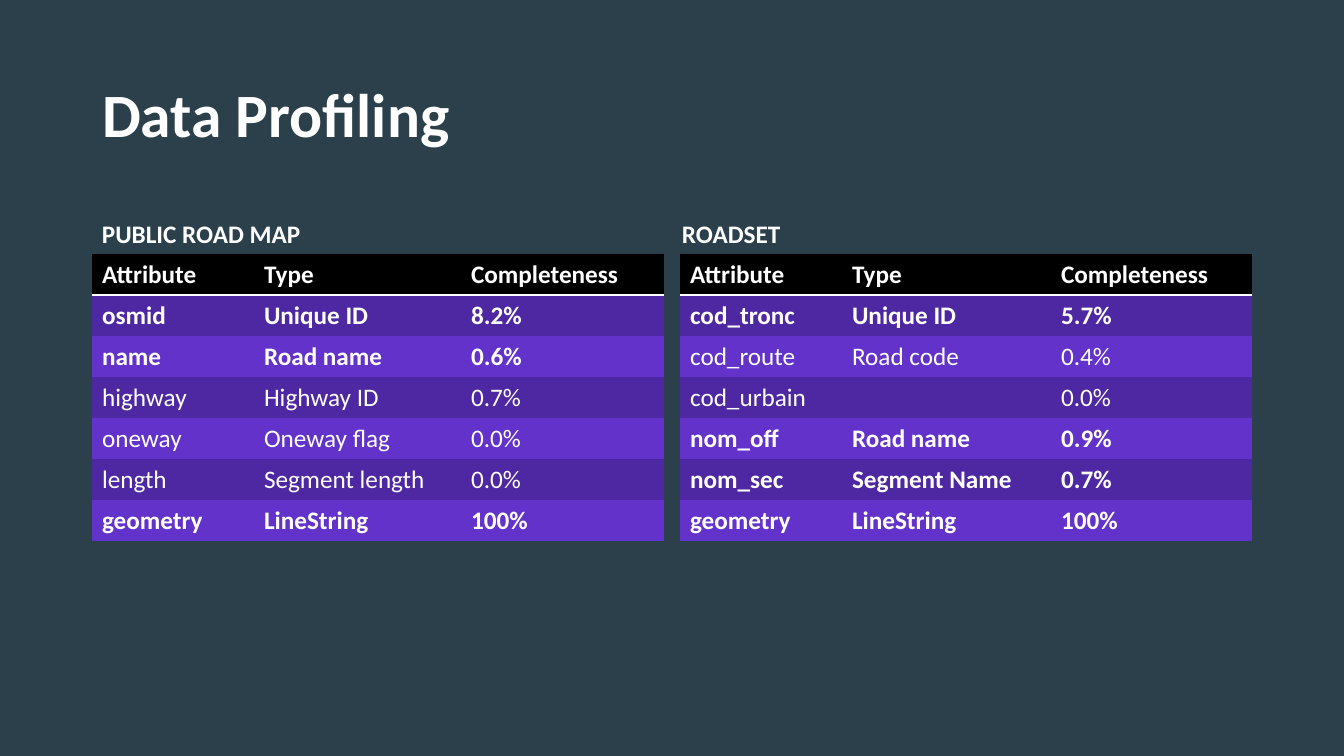
from lxml.etree import fromstring
from pptx import Presentation
from pptx.dml.color import RGBColor
from pptx.enum.text import MSO_ANCHOR, PP_ALIGN
from pptx.oxml.ns import qn
from pptx.util import Pt

# Content: bold rows are marked True
TITLE = "Data Profiling"
HEAD = ("Attribute", "Type", "Completeness")
TABLES = [
    {"name": "PUBLIC ROAD MAP", "label": (92, 257), "left": 92,
     "cols": (162, 207, 203),
     "rows": [
         (True, "osmid", "Unique ID", "8.2%"),
         (True, "name", "Road name", "0.6%"),
         (False, "highway", "Highway ID", "0.7%"),
         (False, "oneway", "Oneway flag", "0.0%"),
         (False, "length", "Segment length", "0.0%"),
         (True, "geometry", "LineString", "100%")]},
    {"name": "ROADSET", "label": (672, 151), "left": 680,
     "cols": (162, 209, 201),
     "rows": [
         (True, "cod_tronc", "Unique ID", "5.7%"),
         (False, "cod_route", "Road code", "0.4%"),
         (False, "cod_urbain", "", "0.0%"),
         (True, "nom_off", "Road name", "0.9%"),
         (True, "nom_sec", "Segment Name", "0.7%"),
         (True, "geometry", "LineString", "100%")]},
]

FONT = "Calibri"
SLATE = RGBColor(0x2B, 0x40, 0x4B)
WHITE = RGBColor(0xFF, 0xFF, 0xFF)
BLACK = RGBColor(0, 0, 0)
BANDS = (RGBColor(0x4E, 0x28, 0xA2), RGBColor(0x62, 0x32, 0xCA))
TOP, ROW = 254, 41
PLAIN = "{2D5ABB26-0587-4C30-8999-92F81FD0307C}"  # table style without grid
RULE = ('<a:lnB xmlns:a="http://schemas.openxmlformats.org/drawingml/2006/main"'
        ' w="25400"><a:solidFill><a:srgbClr val="FFFFFF"/></a:solidFill></a:lnB>')


def px(n):
    return round(n * 914400 / 100.8)


def write(frame, text, size=18, bold=True):
    frame.text = text
    par = frame.paragraphs[0]
    par.alignment = PP_ALIGN.LEFT
    font = par.font
    font.name, font.size, font.bold = FONT, Pt(size), bold
    font.color.rgb = WHITE


def add_grid(slide, data):
    rows = [(True, *HEAD)] + data["rows"]
    cols = data["cols"]
    table = slide.shapes.add_table(
        len(rows), len(cols), px(data["left"]), px(TOP),
        px(sum(cols)), px(ROW * len(rows))).table
    table.horz_banding = False
    table._tbl.tblPr.find(qn("a:tableStyleId")).text = PLAIN
    for c, width in enumerate(cols):
        table.columns[c].width = px(width)
    for r, (bold, *texts) in enumerate(rows):
        table.rows[r].height = px(ROW)
        for c, text in enumerate(texts):
            cell = table.cell(r, c)
            write(cell.text_frame, text, bold=bold)
            cell.fill.solid()
            cell.fill.fore_color.rgb = BANDS[(r - 1) % 2] if r else BLACK
            if r == 0:
                cell._tc.get_or_add_tcPr().insert(0, fromstring(RULE))


def add_label(slide, data):
    left, width = data["label"]
    box = slide.shapes.add_textbox(px(left), px(213), px(width), px(41))
    box.text_frame.word_wrap = False
    write(box.text_frame, data["name"])


def main():
    deck = Presentation()
    deck.slide_width, deck.slide_height = px(1344), px(756)
    slide = deck.slides.add_slide(deck.slide_layouts[5])
    slide.background.fill.solid()
    slide.background.fill.fore_color.rgb = SLATE

    # Title
    title = slide.shapes.title
    title.left, title.top = px(92), px(40)
    title.width, title.height = px(1160), px(146)
    title.text_frame.vertical_anchor = MSO_ANCHOR.MIDDLE
    write(title.text_frame, TITLE, size=44)

    # Tables with their labels
    for data in TABLES:
        add_grid(slide, data)
        add_label(slide, data)

    deck.save("out.pptx")


if __name__ == "__main__":
    main()
